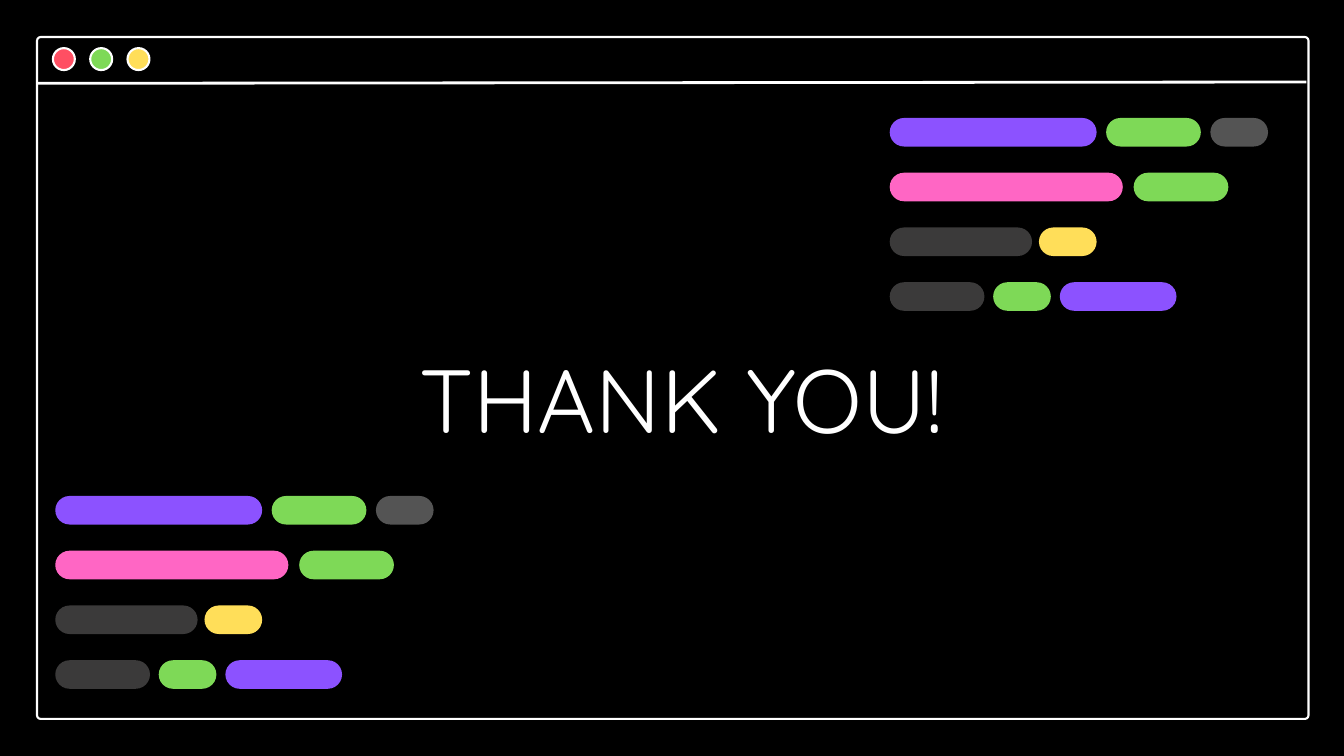
from lxml import etree
from pptx import Presentation
from pptx import util as u
from pptx.dml.color import RGBColor
from pptx.enum import shapes, text
from pptx.oxml import ns

BLACK = RGBColor(0x00, 0x00, 0x00)
WHITE = RGBColor(0xFF, 0xFF, 0xFF)
RED = RGBColor(0xFF, 0x4F, 0x63)
GREEN = RGBColor(0x7E, 0xD9, 0x57)
YELLOW = RGBColor(0xFF, 0xDE, 0x59)
PURPLE = RGBColor(0x8C, 0x52, 0xFF)
PINK = RGBColor(0xFF, 0x66, 0xC4)
DARK = RGBColor(0x3B, 0x3A, 0x3A)
GREY = RGBColor(0x54, 0x54, 0x54)

# Each row of the code block: (offset, width, colour) in cm
CODE_ROWS = [
    [(0, 7.82, PURPLE), (8.18, 3.58, GREEN), (12.12, 2.18, GREY)],
    [(0, 8.81, PINK), (9.22, 3.58, GREEN)],
    [(0, 5.38, DARK), (5.64, 2.18, YELLOW)],
    [(0, 3.58, DARK), (3.91, 2.18, GREEN), (6.43, 4.41, PURPLE)],
]
BAR_HEIGHT = 1.08
ROW_PITCH = 2.07


class Deck:
    """Holds the style and the current slide; lengths are in cm."""
    font = "Quicksand"
    outline = 2.25

    def __init__(self, prs):
        self.s = prs.slides.add_slide(prs.slide_layouts[6])
        fill = self.s.background.fill
        fill.solid()
        fill.fore_color.rgb = BLACK

    def shape(self, kind, x, y, w, h, fill=None, line=None, radius=None):
        sp = self.s.shapes.add_shape(kind, u.Cm(x), u.Cm(y), u.Cm(w), u.Cm(h))
        sp.shadow.inherit = False
        if radius is not None:
            sp.adjustments[0] = radius / min(w, h)
        if fill is None:
            sp.fill.background()
        else:
            sp.fill.solid()
            sp.fill.fore_color.rgb = fill
        if line is None:
            sp.line.fill.background()
        else:
            sp.line.color.rgb = line
            sp.line.width = u.Pt(self.outline)

    def frame(self, x, y, w, h):
        self.shape(shapes.MSO_SHAPE.ROUNDED_RECTANGLE, x, y, w, h,
                   line=WHITE, radius=0.14)

    def dot(self, x, y, size, fill):
        self.shape(shapes.MSO_SHAPE.OVAL, x, y, size, size, fill, WHITE)

    def bar(self, x, y, w, fill):
        self.shape(shapes.MSO_SHAPE.ROUNDED_RECTANGLE, x, y, w, BAR_HEIGHT,
                   fill, radius=BAR_HEIGHT / 2)

    def code_block(self, x, y):
        for i, row in enumerate(CODE_ROWS):
            for offset, width, colour in row:
                self.bar(x + offset, y + i * ROW_PITCH, width, colour)

    def line(self, x1, y1, x2, y2, width):
        c = self.s.shapes.add_connector(shapes.MSO_CONNECTOR.STRAIGHT,
                                        u.Cm(x1), u.Cm(y1), u.Cm(x2), u.Cm(y2))
        c.line.color.rgb = WHITE
        c.line.width = u.Pt(width)
        etree.SubElement(c._element.spPr, ns.qn("a:effectLst"))

    def title(self, words, x, y, w, h, size):
        tf = self.s.shapes.add_textbox(u.Cm(x), u.Cm(y), u.Cm(w), u.Cm(h)).text_frame
        tf.margin_left = tf.margin_right = tf.margin_top = tf.margin_bottom = 0
        tf.word_wrap = True
        tf.auto_size = text.MSO_AUTO_SIZE.SHAPE_TO_FIT_TEXT
        tf.text = words
        p = tf.paragraphs[0]
        p.line_spacing = 1.2
        r = p.runs[0]
        r.font.name = self.font
        r.font.size = u.Pt(size)
        r.font.color.rgb = WHITE


def main():
    prs = Presentation()
    prs.slide_width, prs.slide_height = u.Cm(50.8), u.Cm(28.58)
    deck = Deck(prs)

    # Browser window
    deck.frame(1.4, 1.4, 48.06, 25.78)
    deck.line(1.4, 3.15, 49.38, 3.1, 3)
    for i, colour in enumerate((RED, GREEN, YELLOW)):
        deck.dot(2 + i * 1.41, 1.82, 0.83, colour)

    # Code block, title, code block
    deck.code_block(33.63, 4.46)
    deck.title("THANK YOU!", 15.85, 12.19, 35.56, 4.93, 96)
    deck.code_block(2.09, 18.75)

    prs.save("out.pptx")


if __name__ == "__main__":
    main()
